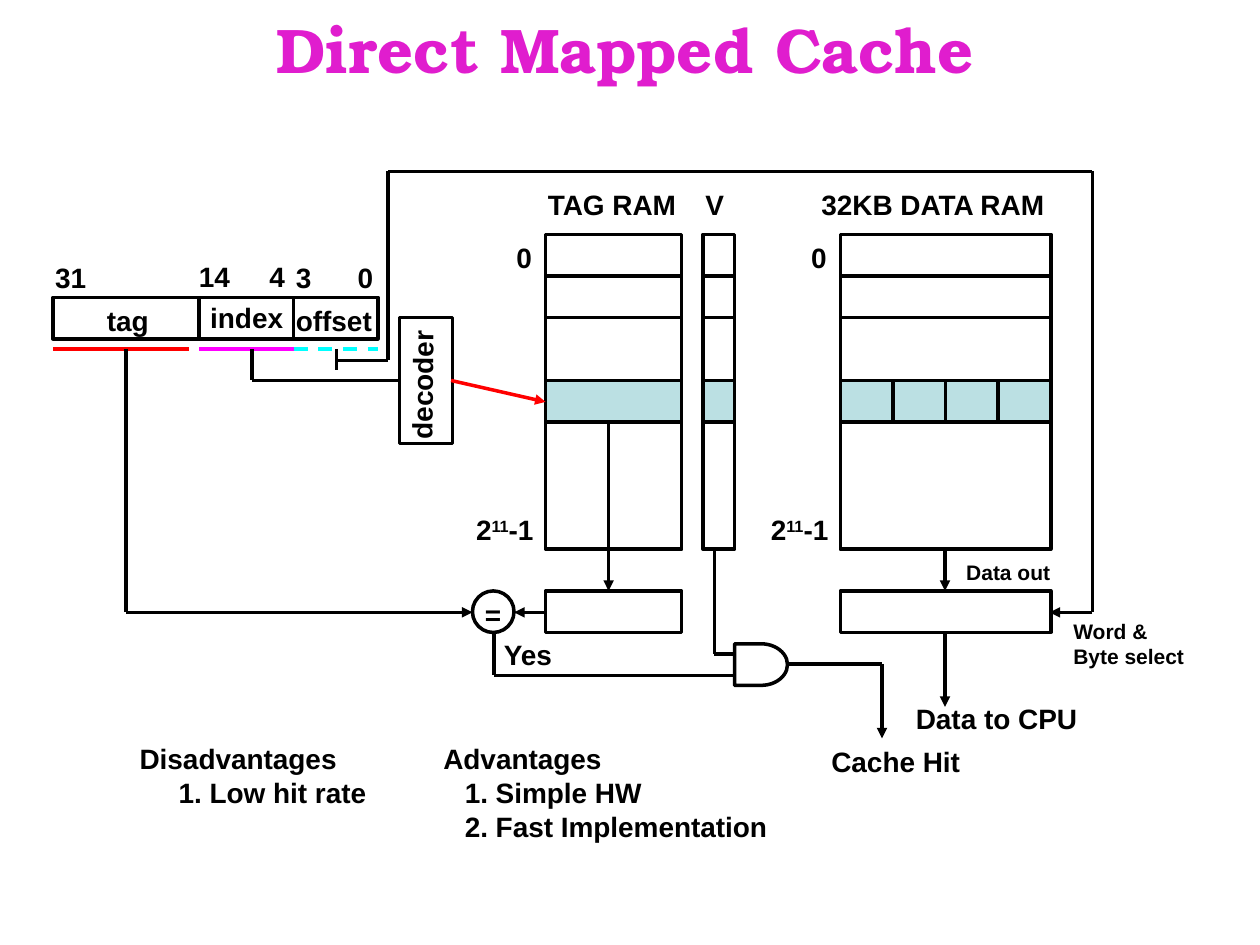
import itertools

import pptx
import pptx.dml.color
import pptx.enum.dml
import pptx.enum.shapes
import pptx.enum.text
import pptx.oxml.ns
import pptx.util
from lxml import etree
from pptx.util import Inches

COLORS = {
    "title": "E01DCE",
    "ink": "000000",
    "selected": "BBE0E3",
    "tag": "FF0000",
    "index": "FF00FF",
    "offset": "00FFFF",
}
SHAPES = pptx.enum.shapes.MSO_SHAPE
ROW = 0.33


def rgb(name):
    return pptx.dml.color.RGBColor.from_string(COLORS[name])


def style_font(font, size=16, color="ink", name="Arial"):
    font.size = pptx.util.Pt(size)
    font.name = name
    font.bold = True
    font.color.rgb = rgb(color)


def add_label(s, text, left, top, width, height=0.37, size=16, indent=0):
    sp = s.shapes.add_textbox(Inches(left), Inches(top), Inches(width), Inches(height))
    tf = sp.text_frame
    tf.word_wrap = False
    tf.text = text
    for i, p in enumerate(tf.paragraphs):
        if i and indent:
            p._p.get_or_add_pPr().set("marL", str(Inches(indent)))
        style_font(p.font, size)
    return sp


def add_box(s, left, top, width, height=ROW, fill=None, kind=SHAPES.RECTANGLE):
    sp = s.shapes.add_shape(kind, Inches(left), Inches(top), Inches(width), Inches(height))
    sp.shadow.inherit = False
    if fill:
        sp.fill.solid()
        sp.fill.fore_color.rgb = rgb(fill)
    else:
        sp.fill.background()
    sp.line.color.rgb = rgb("ink")
    sp.line.width = pptx.util.Pt(2)


def add_wire(s, points, color="ink", arrow=False, dash=False):
    for start, end in itertools.pairwise(points):
        cx = s.shapes.add_connector(
            pptx.enum.shapes.MSO_CONNECTOR.STRAIGHT, *map(Inches, start + end))
        cx.line.color.rgb = rgb(color)
        cx.line.width = pptx.util.Pt(2)
        if dash:
            cx.line.dash_style = pptx.enum.dml.MSO_LINE.DASH
        etree.SubElement(cx._element.spPr, pptx.oxml.ns.qn("a:effectLst"))
    if arrow:
        ln = cx.line._get_or_add_ln()
        etree.SubElement(ln, pptx.oxml.ns.qn("a:tailEnd"), type="triangle")


def add_title(s, left, top, width, height):
    sp = s.shapes.add_textbox(Inches(left), Inches(top), Inches(width), Inches(height))
    tf = sp.text_frame
    tf.word_wrap = True
    tf.vertical_anchor = pptx.enum.text.MSO_ANCHOR.MIDDLE
    p = tf.paragraphs[0]
    p.text = "Direct Mapped Cache"
    p.alignment = pptx.enum.text.PP_ALIGN.CENTER
    style_font(p.font, 36, "title", "TeX Gyre Bonum")


def add_address(s, left, top, width):
    add_box(s, left, top, width)
    for x in (left + 1.16, left + 1.91):
        add_wire(s, [(x, top), (x, top + ROW)])
    for text, dx, dy, w in (
        ("31", -0.08, -0.34, 0.5), ("14", 1.06, -0.35, 0.5),
        ("4", 1.62, -0.35, 0.34), ("3", 1.83, -0.34, 0.34),
        ("0", 2.32, -0.34, 0.34), ("tag", 0.33, 0, 0.58),
        ("index", 1.15, -0.02, 0.82), ("offset", 1.83, 0, 0.84),
    ):
        add_label(s, text, left + dx, top + dy, w)
    for color, start, end in (
        ("tag", 0, 1.08), ("index", 1.16, 1.91), ("offset", 1.91, width),
    ):
        y = top + 0.41
        add_wire(s, [(left + start, y), (left + end, y)], color, dash=color == "offset")


def add_ram(s, left, top, width, name, name_dx, name_width,
            numbered=True, words=1):
    add_box(s, left, top, width, 2.5)
    add_box(s, left, top + ROW, width)
    add_box(s, left, top + 1.16, width, fill="selected")
    add_label(s, name, left + name_dx, top - 0.42, name_width)
    for i in range(1, words):
        x = left + width * i / words
        add_wire(s, [(x, top + 1.16), (x, top + 1.5)])
    if numbered:
        add_box(s, left, top + 2.83, width)
        add_label(s, "0", left - 0.33, top, 0.34)
        p = add_label(s, "2", left - 0.65, top + 2.16, 0.7).text_frame.paragraphs[0]
        power = p.add_run()
        power.text = "11"
        power.font._element.set("baseline", "30000")
        p.add_run().text = "-1"


def add_decoder(s, left, top, width, height):
    add_box(s, left, top, width, height)
    sp = add_label(s, "decoder", left - 0.35, top + 0.35, 1.06)
    sp.rotation = 270.5


def add_hit_logic(s, left, top):
    add_label(s, "=", left, top, 0.34)
    add_box(s, left, top, ROW, kind=SHAPES.OVAL)
    add_label(s, "Yes", left + 0.15, top + 0.32, 0.64)
    add_box(s, left + 2.08, top + 0.42, 0.42, kind=SHAPES.FLOWCHART_DELAY)
    add_label(s, "Cache Hit", left + 2.75, top + 1.17, 1.3)


def add_data_labels(s, left, top):
    add_label(s, "Data out", left + 0.4, top, 0.95, 0.3, 12)
    add_label(s, "Word &\nByte select", left + 1.25, top + 0.47, 1.15, 0.5, 12)
    add_label(s, "Data to CPU", left, top + 1.13, 1.55)


def add_wiring(s):
    for points, arrow in (
        ([(1, 2.77), (1, 4.86), (3.75, 4.86)], True),
        ([(2, 2.77), (2, 3.02), (3.17, 3.02)], False),
        ([(2.67, 2.77), (2.67, 2.94)], False),
        ([(2.67, 2.86), (3.08, 2.86), (3.08, 1.36), (8.67, 1.36),
          (8.67, 4.86), (8.33, 4.86)], True),
        ([(4.83, 3.36), (4.83, 4.69)], True),
        ([(4.33, 4.86), (4.08, 4.86)], True),
        ([(3.92, 5.02), (3.92, 5.36), (5.83, 5.36)], False),
        ([(5.67, 4.36), (5.67, 5.19), (5.83, 5.19)], False),
        ([(6.25, 5.27), (7, 5.27), (7, 5.86)], True),
        ([(7.5, 4.36), (7.5, 4.69)], True),
        ([(7.5, 5.02), (7.5, 5.61)], True),
    ):
        add_wire(s, points, arrow=arrow)
    add_wire(s, [(3.58, 3.02), (4.33, 3.19)], "tag", arrow=True)


def add_trade_offs(s, left, top):
    add_label(s, "Disadvantages\n1. Low hit rate", left, top, 2.1, 0.63, indent=0.31)
    add_label(s, "Advantages\n1. Simple HW\n2. Fast Implementation",
              left + 2.41, top, 2.85, 0.9, indent=0.17)


def main():
    prs = pptx.Presentation()
    prs.slide_width = Inches(10)
    prs.slide_height = Inches(7.5)
    s = prs.slides.add_slide(prs.slide_layouts[6])
    add_title(s, 0.51, 0, 8.9, 0.76)
    add_ram(s, 6.67, 1.86, 1.67, "32KB DATA RAM", -0.25, 2.05, words=4)
    add_ram(s, 4.33, 1.86, 1.08, "TAG RAM", -0.08, 1.27)
    add_ram(s, 5.58, 1.86, 0.25, "V", -0.08, 0.37, numbered=False)
    add_address(s, 0.42, 2.36, 2.58)
    add_decoder(s, 3.17, 2.52, 0.42, 1)
    add_hit_logic(s, 3.75, 4.69)
    add_data_labels(s, 7.17, 4.39)
    add_wiring(s)
    add_trade_offs(s, 1.01, 5.84)
    prs.save("out.pptx")


if __name__ == "__main__":
    main()
